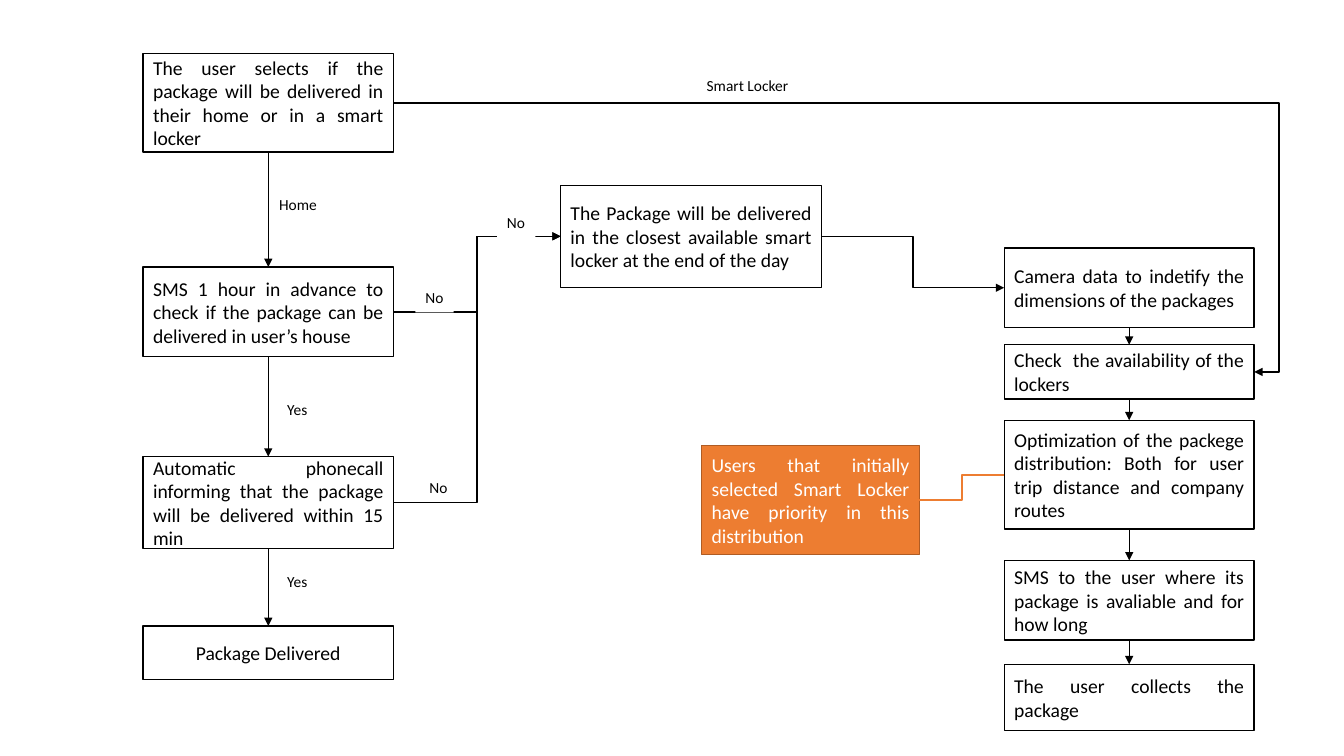
import dataclasses
import pptx
import pptx.util
import pptx.dml.color
import pptx.enum.shapes
import pptx.enum.text
import pptx.oxml
import pptx.oxml.ns

ALIGN = pptx.enum.text.PP_ALIGN
ANCHOR = pptx.enum.text.MSO_ANCHOR
FIT = pptx.enum.text.MSO_AUTO_SIZE
LINK = pptx.enum.shapes.MSO_CONNECTOR
RECT = pptx.enum.shapes.MSO_SHAPE.RECTANGLE
TOP, LEFT, BOTTOM, RIGHT = range(4)


@dataclasses.dataclass
class Theme:
    font: str = "Calibri"
    ink: str = "000000"
    paper: str = "FFFFFF"
    accent: str = "ED7D31"
    edge: str = "AF5C24"
    body: float = 14
    small: float = 11
    thin: float = 1
    thick: float = 1.5


def color(code):
    return pptx.dml.color.RGBColor.from_string(code)


def apply(target, form):
    for name, value in form.items():
        setattr(target, name, value)


class Chart:
    """Places parts by percent of the slide's width and height."""

    def __init__(self, deck, theme):
        self.deck, self.theme = deck, theme
        self.slide = deck.slides.add_slide(deck.slide_layouts[6])

    def place(self, x, y, wide, high):
        across, down = self.deck.slide_width, self.deck.slide_height
        return [int(share * size / 100) for share, size in
                zip((x, y, wide, high), (across, down, across, down))]

    def paint(self, shape, code):
        shape.fill.solid()
        shape.fill.fore_color.rgb = color(code)

    def letter(self, shape, text, size, ink, align, form):
        apply(shape.text_frame, form)
        para = shape.text_frame.paragraphs[0]
        para.alignment = align
        run = para.add_run()
        run.text = text
        apply(run.font, {"name": self.theme.font, "size": pptx.util.Pt(size)})
        run.font.color.rgb = color(ink)

    def box(self, text, x, y, wide, high, align=ALIGN.JUSTIFY, fill=None, edge=None, ink=None):
        theme = self.theme
        shape = self.slide.shapes.add_shape(RECT, *self.place(x, y, wide, high))
        shape.shadow.inherit = False
        self.paint(shape, fill or theme.paper)
        shape.line.color.rgb = color(edge or theme.ink)
        shape.line.width = pptx.util.Pt(theme.thin)
        self.letter(shape, text, theme.body, ink or theme.ink, align,
                    {"word_wrap": True, "vertical_anchor": ANCHOR.MIDDLE})
        return shape

    def label(self, text, x, y, wide, wrap=False):
        shape = self.slide.shapes.add_textbox(*self.place(x, y, wide, 3.87))
        self.paint(shape, self.theme.paper)
        self.letter(shape, text, self.theme.small, self.theme.ink, ALIGN.JUSTIFY,
                    {"word_wrap": wrap, "auto_size": FIT.SHAPE_TO_FIT_TEXT})

    def link(self, start, out, end, into, kind=LINK.STRAIGHT, bend=None,
             ink=None, width=None, arrow=True):
        line = self.slide.shapes.add_connector(kind, 0, 0, 0, 0)
        line.begin_connect(start, out)
        line.end_connect(end, into)
        line.line.color.rgb = color(ink or self.theme.ink)
        line.line.width = pptx.util.Pt(width or self.theme.thin)
        props = line._element.spPr
        make, tag = pptx.oxml.parse_xml, pptx.oxml.ns.nsdecls("a")
        if arrow:
            props.find(pptx.oxml.ns.qn("a:ln")).append(
                make(f'<a:tailEnd {tag} type="triangle"/>'))
        props.append(make(f"<a:effectLst {tag}/>"))
        if bend:
            guides = props.find(".//" + pptx.oxml.ns.qn("a:avLst"))
            guides.append(make(f'<a:gd {tag} name="adj1" fmla="val {bend}"/>'))


def main():
    deck = pptx.Presentation()
    apply(deck, {"slide_width": pptx.util.Inches(13.33),
                 "slide_height": pptx.util.Inches(7.5)})
    theme = Theme()
    chart = Chart(deck, theme)

    # Home delivery column
    home = [chart.box(text, 10.65, y, 18.63, high, align) for text, y, high, align in (
        ("The user selects if the package will be delivered in their home or in a smart locker",
         7.07, 13.07, ALIGN.JUSTIFY),
        ("SMS 1 hour in advance to check if the package can be delivered in user’s house",
         35.33, 11.87, ALIGN.JUSTIFY),
        ("Automatic phonecall informing that the package will be delivered within 15 min",
         60.4, 12.13, ALIGN.JUSTIFY),
        ("Package Delivered", 82.8, 7.07, ALIGN.CENTER))]

    # Smart locker column
    locker = [chart.box(text, 74.72, y, 18.6, high) for text, y, high in (
        ("Camera data to indetify the dimensions of the packages", 32.8, 10.53),
        ("Check  the availability of the lockers", 45.6, 7.2),
        ("Optimization of the packege distribution: Both for user trip distance "
         "and company routes", 55.6, 14.4),
        ("SMS to the user where its package is avaliable and for how long", 74.13, 10.53),
        ("The user collects the package", 87.87, 8.8))]

    # Middle boxes
    closest = chart.box("The Package will be delivered in the closest available smart "
                        "locker at the end of the day", 41.71, 24.53, 19.43, 13.47)
    note = chart.box("Users that initially selected Smart Locker have priority in this "
                     "distribution", 52.21, 58.93, 16.2, 14.4,
                     fill=theme.accent, edge=theme.edge, ink=theme.paper)

    # Arrows down both columns
    for column in (home, locker):
        for upper, lower in zip(column, column[1:]):
            chart.link(upper, BOTTOM, lower, TOP)

    # Bent links between columns
    for start, end, into, bend in ((home[1], closest, LEFT, 50000),
                                   (home[2], closest, LEFT, 50000),
                                   (closest, locker[0], LEFT, 50000),
                                   (home[0], locker[1], RIGHT, 102900)):
        chart.link(start, RIGHT, end, into, LINK.ELBOW, bend)
    chart.link(note, RIGHT, locker[2], LEFT, LINK.ELBOW, 50000,
               theme.accent, theme.thick, arrow=False)

    # Branch labels
    for y in (52.27, 75.07):
        chart.label("Yes", 20.63, y, 3.08)
    for x, y in ((31.21, 62.53), (36.98, 27.47), (30.91, 37.47)):
        chart.label("No", x, y, 2.85)
    chart.label("Home", 20.03, 25.2, 4.35, wrap=True)
    chart.label("Smart Locker", 51.84, 9.47, 8.48, wrap=True)

    deck.save("out.pptx")


if __name__ == "__main__":
    main()
